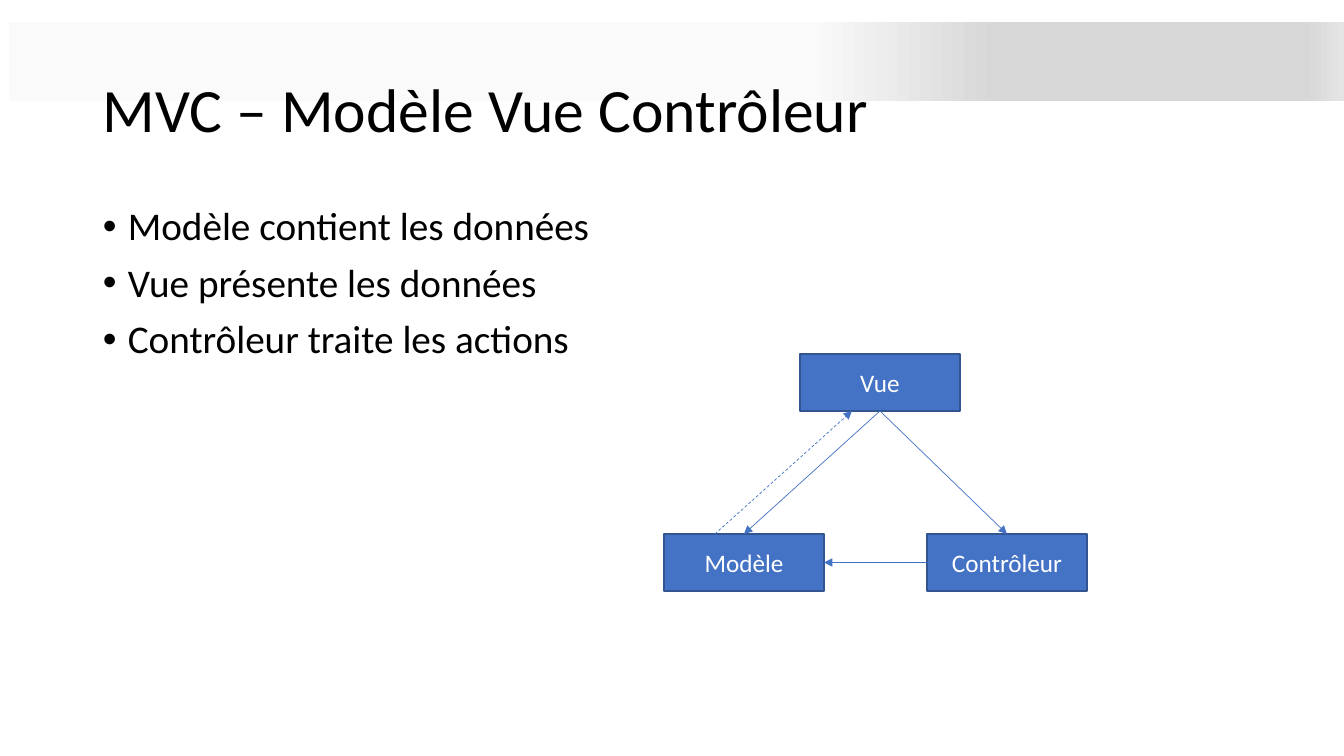
import copy

import lxml.etree
import pptx
import pptx.dml.color
import pptx.enum.dml
import pptx.enum.shapes
import pptx.enum.text
import pptx.oxml.ns
import pptx.util

RGBColor = pptx.dml.color.RGBColor
BLACK = RGBColor(0x00, 0x00, 0x00)
WHITE = RGBColor(0xFF, 0xFF, 0xFF)
BLUE = RGBColor(0x44, 0x72, 0xC4)
DARK_BLUE = RGBColor(0x32, 0x54, 0x91)
PALE_GREY = RGBColor(0xFA, 0xFA, 0xFA)
GREY = RGBColor(0xD7, 0xD7, 0xD7)
LIGHT_GREY = RGBColor(0xE4, 0xE4, 0xE4)

SLIDE_WIDTH, SLIDE_HEIGHT = 1344, 756
EMU_PER_PX = 12192000 / SLIDE_WIDTH
TOP, LEFT, BOTTOM, RIGHT = range(4)


def px(length):
    return pptx.util.Emu(round(length * EMU_PER_PX))


def add_element(parent, tag, **attributes):
    lxml.etree.SubElement(parent, pptx.oxml.ns.qn(tag), attributes)


class SlideBuilder:
    font = "Calibri"
    line_spacing = 0.9
    bullet_indent = 25
    paragraph_gap = 10
    box_width, box_height = 160, 57

    def __init__(self, slide):
        self.slide = slide

    def style_text(self, paragraph, size, color):
        for run in paragraph.runs:
            run.font.name = self.font
            run.font.size = pptx.util.Pt(size)
            run.font.color.rgb = color

    def add_rectangle(self, left, top, width, height):
        shape = self.slide.shapes.add_shape(
            pptx.enum.shapes.MSO_SHAPE.RECTANGLE, px(left), px(top), px(width), px(height))
        shape.shadow.inherit = False
        return shape

    def add_gradient_band(self, left, top, width, height, stops):
        shape = self.add_rectangle(left, top, width, height)
        shape.line.fill.background()
        shape.fill.gradient()
        shape.fill.gradient_angle = 0
        stop_list = shape._element.spPr.find(".//" + pptx.oxml.ns.qn("a:gsLst"))
        while len(stop_list) < len(stops):
            stop_list.append(copy.deepcopy(stop_list[0]))
        for stop, (position, color) in zip(shape.fill.gradient_stops, stops):
            stop.position = position
            stop.color.rgb = color

    def add_text(self, left, top, width, height, lines, size, anchor, bullets=False):
        text_box = self.slide.shapes.add_textbox(px(left), px(top), px(width), px(height))
        text_frame = text_box.text_frame
        text_frame.word_wrap = True
        text_frame.vertical_anchor = anchor
        text_frame.text = "\n".join(lines)
        for index, paragraph in enumerate(text_frame.paragraphs):
            paragraph.line_spacing = self.line_spacing
            if index:
                paragraph.space_before = pptx.util.Pt(self.paragraph_gap)
            if bullets:
                properties = paragraph._p.get_or_add_pPr()
                indent = px(self.bullet_indent)
                properties.set("marL", str(indent))
                properties.set("indent", str(-indent))
                add_element(properties, "a:buFont", typeface="Arial")
                add_element(properties, "a:buChar", char="•")
            self.style_text(paragraph, size, BLACK)

    def add_box(self, left, top, label):
        shape = self.add_rectangle(left, top, self.box_width, self.box_height)
        shape.fill.solid()
        shape.fill.fore_color.rgb = BLUE
        shape.line.color.rgb = DARK_BLUE
        shape.line.width = pptx.util.Pt(1)
        shape.text_frame.text = label
        shape.text_frame.vertical_anchor = pptx.enum.text.MSO_ANCHOR.MIDDLE
        paragraph = shape.text_frame.paragraphs[0]
        paragraph.alignment = pptx.enum.text.PP_ALIGN.CENTER
        self.style_text(paragraph, 18, WHITE)
        return shape

    def add_arrow(self, start=(0, 0), end=(0, 0), dashed=False):
        connector = self.slide.shapes.add_connector(
            pptx.enum.shapes.MSO_CONNECTOR.STRAIGHT, *map(px, start + end))
        connector.line.color.rgb = BLUE
        connector.line.width = pptx.util.Pt(0.5)
        if dashed:
            connector.line.dash_style = pptx.enum.dml.MSO_LINE.DASH
        line_element = connector._element.spPr.find(pptx.oxml.ns.qn("a:ln"))
        add_element(line_element, "a:tailEnd", type="triangle")
        add_element(connector._element.spPr, "a:effectLst")
        return connector

    def join(self, source, source_side, target, target_side):
        connector = self.add_arrow()
        connector.begin_connect(source, source_side)
        connector.end_connect(target, target_side)


def main():
    presentation = pptx.Presentation()
    presentation.slide_width = px(SLIDE_WIDTH)
    presentation.slide_height = px(SLIDE_HEIGHT)
    builder = SlideBuilder(presentation.slides.add_slide(presentation.slide_layouts[6]))

    # Header band
    builder.add_gradient_band(9, 22, 1335, 79, [
        (0.6, PALE_GREY), (0.74, GREY), (0.97, GREY), (1, LIGHT_GREY)])

    # Title and bullet list
    builder.add_text(93, 40, 1159, 146, ["MVC – Modèle Vue Contrôleur"], 44,
                     pptx.enum.text.MSO_ANCHOR.MIDDLE)
    builder.add_text(93, 202, 1159, 480, [
        "Modèle contient les données",
        "Vue présente les données",
        "Contrôleur traite les actions",
    ], 28, pptx.enum.text.MSO_ANCHOR.TOP, bullets=True)

    # Diagram boxes
    view = builder.add_box(800, 354, "Vue")
    model = builder.add_box(664, 534, "Modèle")
    controller = builder.add_box(927, 534, "Contrôleur")

    # Diagram arrows
    builder.join(view, BOTTOM, model, TOP)
    builder.join(view, BOTTOM, controller, TOP)
    builder.join(controller, LEFT, model, RIGHT)
    builder.add_arrow((715, 534), (852, 411), dashed=True)

    presentation.save("out.pptx")


if __name__ == "__main__":
    main()
